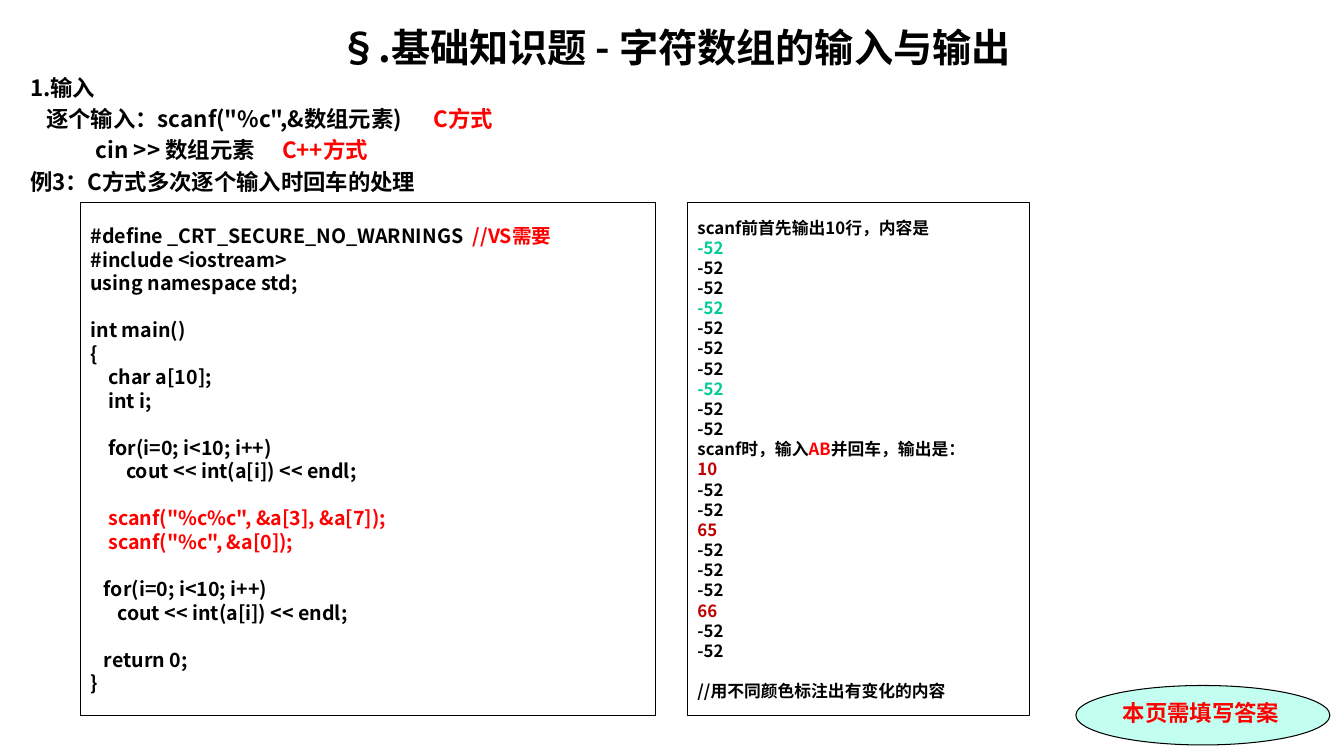
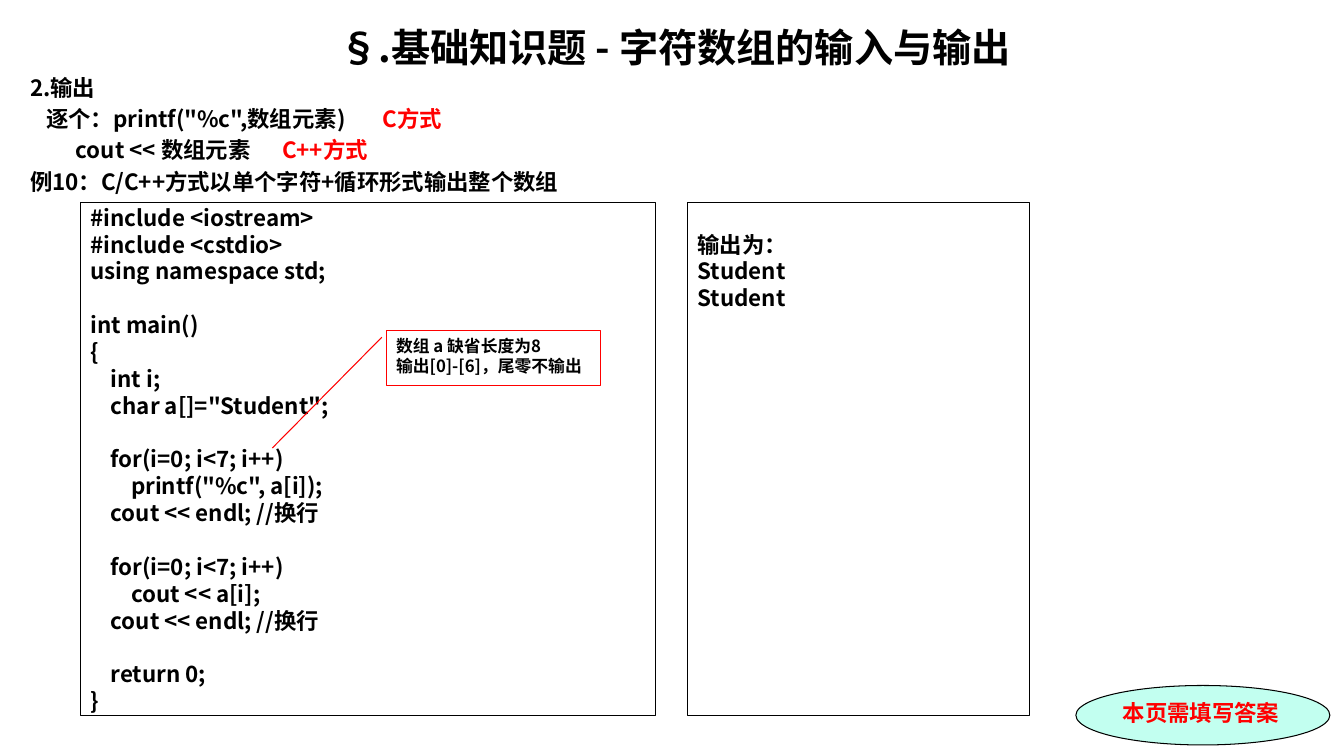
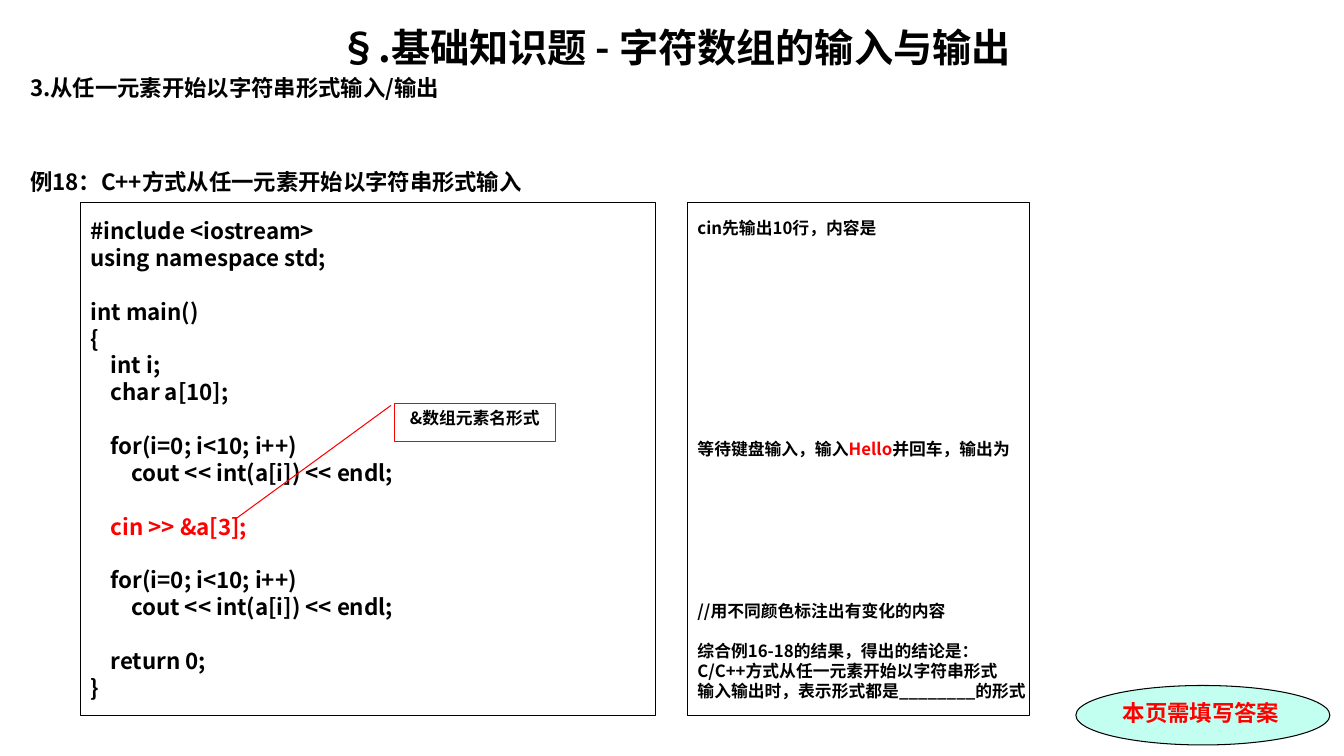
"""Builds three lecture slides on reading and writing character arrays."""
from dataclasses import dataclass

from lxml import etree
from pptx import Presentation
from pptx import util as u
from pptx.dml.color import RGBColor
from pptx.enum import shapes, text
from pptx.oxml.ns import qn


@dataclass(frozen=True)
class Theme:
    """Colours, fonts and type sizes shared by every slide."""
    black: str = "000000"
    red: str = "FF0000"
    dark_red: str = "C00000"
    teal: str = "00CC99"
    mint: str = "C2FFF0"
    font: str = "Noto Sans CJK SC"
    badge_font: str = "Times New Roman"
    title: int = 28
    body: int = 16
    code: int = 14
    small: int = 12
    leading: float = 1.2
    rule: float = 0.75


THEME = Theme()
WIDTH, HEIGHT = u.Inches(13.33), u.Inches(7.5)

# Areas are left, top, width, height in percent of the slide.
AREAS = {
    "title": (1.5, 2.4, 97.45, 8),
    "topic": (1.5, 9.1, 97.45, 17.5),
    "code": (6, 26.8, 42.76, 67.87),
    "output": (51.16, 26.8, 25.43, 67.87),
    "badge": (80.05, 90.67, 18.9, 7.87),
}
TITLE = "§.基础知识题 - 字符数组的输入与输出"
BADGE = "本页需填写答案"
COLOUR_NOTE = "//用不同颜色标注出有变化的内容"


def red(words):
    """Return a line made of one red run."""
    return [(words, THEME.red)]


def method(syntax, label, indent, tab):
    """Return an indented syntax line with a red label at a tab stop."""
    return {"runs": [(syntax + "\t", THEME.black), (label, THEME.red)],
            "indent": indent, "tab": tab}


def values(changed, colour):
    """Return ten array values, with the changed elements coloured."""
    return [[(changed.get(i, "-52"), colour if i in changed else THEME.black)]
            for i in range(10)]


# In a list of lines, a number stands for that many empty rows.
SLIDES = [
    {
        "topic": [
            "1.输入",
            method('逐个输入：scanf("%c",&数组元素)', "C方式", 1.2, 29.9),
            method("cin >> 数组元素", "C++方式", 4.9, 20.9),
            "例3：C方式多次逐个输入时回车的处理",
        ],
        "code_size": THEME.code,
        "code": [
            [("#define _CRT_SECURE_NO_WARNINGS", THEME.black),
             ("  //VS需要", THEME.red)],
            "#include <iostream>",
            "using namespace std;",
            1,
            "int main()",
            "{",
            "    char a[10];",
            "    int i;",
            1,
            "    for(i=0; i<10; i++)",
            "        cout << int(a[i]) << endl;",
            1,
            red('    scanf("%c%c", &a[3], &a[7]);'),
            red('    scanf("%c", &a[0]);'),
            1,
            "   for(i=0; i<10; i++)",
            "      cout << int(a[i]) << endl;",
            1,
            "   return 0;",
            "}",
        ],
        "output_size": THEME.small,
        "output": [
            "scanf前首先输出10行，内容是",
            *values(dict.fromkeys((0, 3, 7), "-52"), THEME.teal),
            [("scanf时，输入", THEME.black), ("AB", THEME.red),
             ("并回车，输出是：", THEME.black)],
            *values({0: "10", 3: "65", 7: "66"}, THEME.dark_red),
            1,
            COLOUR_NOTE,
        ],
    },
    {
        "topic": [
            "2.输出",
            method('逐个：printf("%c",数组元素)', "C方式", 1.2, 26.4),
            method("cout << 数组元素", "C++方式", 3.4, 20.9),
            "例10：C/C++方式以单个字符+循环形式输出整个数组",
        ],
        "code_size": THEME.body,
        "code": [
            "#include <iostream>",
            "#include <cstdio>",
            "using namespace std;",
            1,
            "int main()",
            "{",
            "    int i;",
            '    char a[]="Student";',
            1,
            "    for(i=0; i<7; i++)",
            '        printf("%c", a[i]);',
            "    cout << endl; //换行",
            1,
            "    for(i=0; i<7; i++)",
            "        cout << a[i];",
            "    cout << endl; //换行",
            1,
            "    return 0;",
            "}",
        ],
        "output_size": THEME.body,
        "output": ["输出为：", "Student", "Student", 14],
        "callout": {
            "area": (28.73, 43.73, 15.98, 7.33),
            "leader": (0.12, -0.02, 2.12, -0.53),
            "lines": ["数组 a 缺省长度为8", "输出[0]-[6]，尾零不输出"],
            "align": text.PP_ALIGN.LEFT,
        },
    },
    {
        "topic": [
            "3.从任一元素开始以字符串形式输入/输出",
            2,
            "例18：C++方式从任一元素开始以字符串形式输入",
        ],
        "code_size": THEME.body,
        "code": [
            "#include <iostream>",
            "using namespace std;",
            1,
            "int main()",
            "{",
            "    int i;",
            "    char a[10];",
            1,
            "    for(i=0; i<10; i++)",
            "        cout << int(a[i]) << endl;",
            1,
            red("    cin >> &a[3];"),
            1,
            "    for(i=0; i<10; i++)",
            "        cout << int(a[i]) << endl;",
            1,
            "    return 0;",
            "}",
        ],
        "output_size": THEME.small,
        "output": [
            "cin先输出10行，内容是",
            10,
            [("等待键盘输入，输入", THEME.black), ("Hello", THEME.red),
             ("并回车，输出为", THEME.black)],
            7,
            COLOUR_NOTE,
            1,
            "综合例16-18的结果，得出的结论是：",
            "C/C++方式从任一元素开始以字符串形式",
            "输入输出时，表示形式都是________的形式",
        ],
        "callout": {
            "area": (29.33, 53.33, 12, 5.07),
            "leader": (0.06, -0.02, 3.01, -0.98),
            "lines": ["&数组元素名形式"],
            "align": text.PP_ALIGN.CENTER,
        },
    },
]


def across(percent):
    """Convert a percentage of the slide width to a length."""
    return u.Emu(round(WIDTH * percent / 100))


def down(percent):
    """Convert a percentage of the slide height to a length."""
    return u.Emu(round(HEIGHT * percent / 100))


def place(area):
    """Return left, top, width and height of an area."""
    left, top, width, height = area
    return across(left), down(top), across(width), down(height)


def set_indent(paragraph, indent, tab):
    """Indent the first line and add one left tab stop."""
    properties = paragraph._p.get_or_add_pPr()
    properties.set("marL", "0")
    properties.set("indent", str(across(indent)))
    stops = etree.SubElement(properties, qn("a:tabLst"))
    etree.SubElement(stops, qn("a:tab"), pos=str(across(tab)), algn="l")


def add_run(paragraph, words, size, colour, font):
    """Append one bold run."""
    run = paragraph.add_run()
    run.text = words
    run.font.size = u.Pt(size)
    run.font.bold = True
    run.font.name = font
    run.font.color.rgb = RGBColor.from_string(colour)
    east_asian = etree.Element(qn("a:ea"), typeface=THEME.font)
    run._r.rPr.find(qn("a:latin")).addnext(east_asian)


def write(frame, lines, size, align=text.PP_ALIGN.LEFT, gap=0,
          colour=THEME.black, font=THEME.font, wrap=False):
    """Fill a text frame, turning empty rows into paragraph spacing."""
    frame.word_wrap = wrap
    frame.vertical_anchor = text.MSO_ANCHOR.TOP
    pitch = size * THEME.leading
    paragraph, skipped = None, 0
    for line in lines:
        if isinstance(line, int):
            skipped += line
            continue
        first = paragraph is None
        paragraph = frame.paragraphs[0] if first else frame.add_paragraph()
        runs = line
        if isinstance(line, dict):
            set_indent(paragraph, line["indent"], line["tab"])
            runs = line["runs"]
        elif isinstance(line, str):
            runs = [(line, colour)]
        paragraph.alignment = align
        paragraph.line_spacing = u.Pt(pitch)
        if not first:
            paragraph.space_before = u.Pt(gap + skipped * (pitch + gap))
        skipped = 0
        for words, run_colour in runs:
            add_run(paragraph, words, size, run_colour, font)


def add_text(slide, area, lines, size, **style):
    """Add a wrapping text box."""
    box = slide.shapes.add_textbox(*place(area))
    write(box.text_frame, lines, size, wrap=True, **style)


def add_outline(slide, kind, area, line=THEME.black, fill=None):
    """Add a thin-lined shape without a shadow."""
    shape = slide.shapes.add_shape(kind, *place(area))
    shape.shadow.inherit = False
    shape.line.color.rgb = RGBColor.from_string(line)
    shape.line.width = u.Pt(THEME.rule)
    if fill:
        shape.fill.solid()
        shape.fill.fore_color.rgb = RGBColor.from_string(fill)
    else:
        shape.fill.background()
    return shape


def add_panel(slide, area, lines, size):
    """Add a framed listing whose rows are centred in its height."""
    panel = add_outline(slide, shapes.MSO_SHAPE.RECTANGLE, area)
    rows = sum(line if isinstance(line, int) else 1 for line in lines)
    spare = panel.height - u.Pt(rows * size * THEME.leading)
    panel.text_frame.margin_top = u.Emu(spare // 2)
    panel.text_frame.margin_bottom = 0
    write(panel.text_frame, lines, size)


def add_callout(slide, callout):
    """Add a red note with a leader line to the code."""
    note = add_outline(slide, shapes.MSO_SHAPE.LINE_CALLOUT_1,
                       callout["area"], THEME.red)
    for index, share in enumerate(callout["leader"]):
        note.adjustments[index] = share
    write(note.text_frame, callout["lines"], THEME.small, callout["align"])


def add_slide(presentation, content):
    """Add one slide with its shared parts and its own content."""
    slide = presentation.slides.add_slide(presentation.slide_layouts[6])
    add_text(slide, AREAS["title"], [TITLE], THEME.title,
             align=text.PP_ALIGN.CENTER)
    add_text(slide, AREAS["topic"], content["topic"], THEME.body,
             gap=THEME.body * 0.2)
    badge = add_outline(slide, shapes.MSO_SHAPE.OVAL, AREAS["badge"],
                        fill=THEME.mint)
    write(badge.text_frame, [BADGE], THEME.body, colour=THEME.red,
          font=THEME.badge_font)
    for part in ("code", "output"):
        add_panel(slide, AREAS[part], content[part], content[part + "_size"])
    if "callout" in content:
        add_callout(slide, content["callout"])


def main():
    """Build and save the presentation."""
    presentation = Presentation()
    presentation.slide_width, presentation.slide_height = WIDTH, HEIGHT
    for content in SLIDES:
        add_slide(presentation, content)
    presentation.save("out.pptx")


if __name__ == "__main__":
    main()
